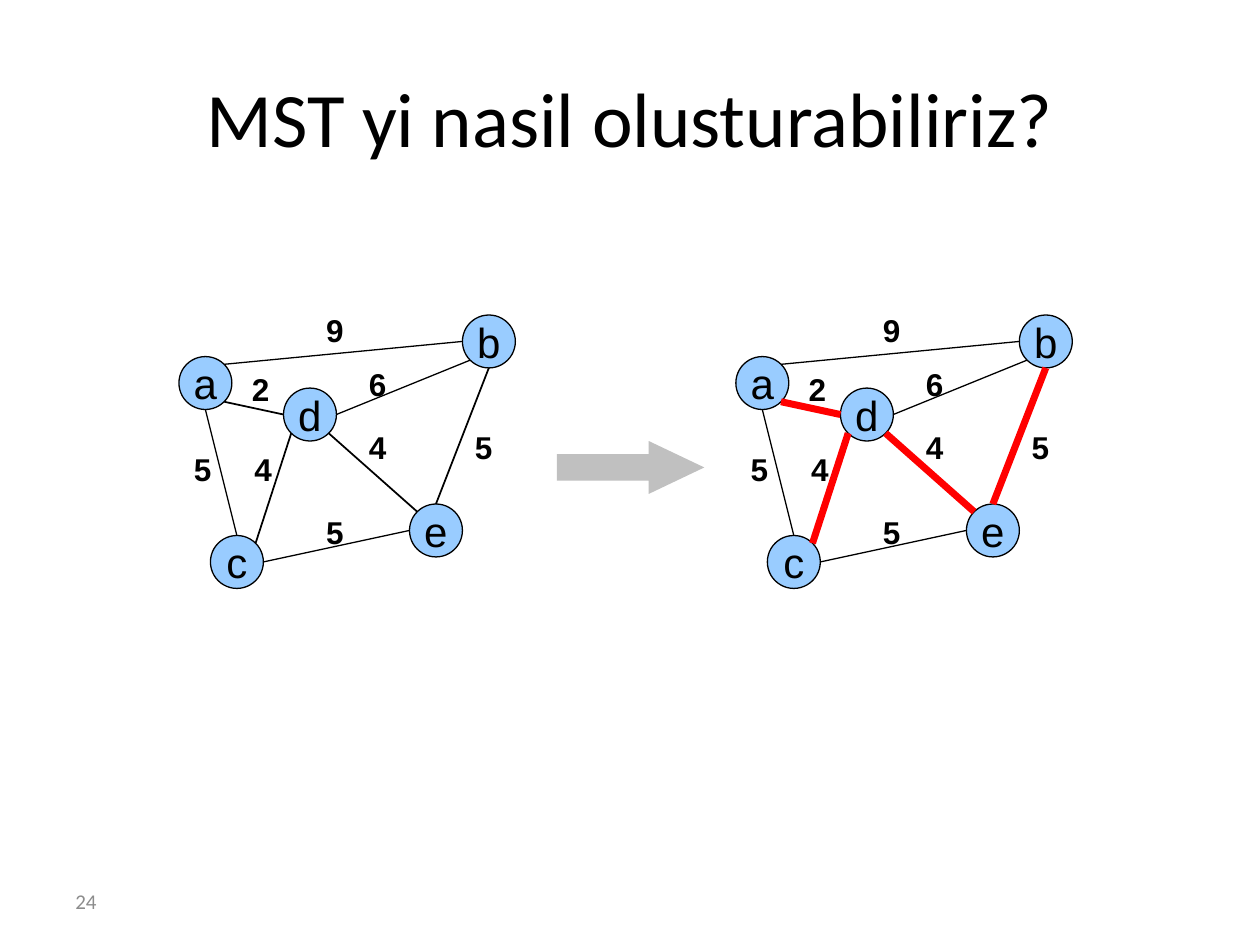
from math import hypot

from lxml.etree import SubElement
from pptx import Presentation
from pptx.dml.color import RGBColor
from pptx.enum.shapes import MSO_CONNECTOR, MSO_SHAPE
from pptx.enum.text import MSO_ANCHOR, MSO_AUTO_SIZE, PP_ALIGN
from pptx.oxml.ns import qn
from pptx.util import Inches, Pt

TITLE = "MST yi nasil olusturabiliriz?"
PAGE = "24"
NODES = {"a": (1.42, 2.83), "c": (1.67, 4.25), "e": (3.25, 4),
         "d": (2.25, 3.08), "b": (3.67, 2.5)}
DIRECTIONS = {"n": (0, -1), "ne": (1, -1), "e": (1, 0), "se": (1, 1),
              "s": (0, 1), "sw": (-1, 1), "w": (-1, 0), "nw": (-1, -1)}
EDGES = [
    ("a", "ne", "b", "w", False),
    ("d", "e", "b", "sw", False),
    ("a", "s", "c", "n", False),
    ("a", "se", "d", "w", True),
    ("c", "ne", "d", "sw", True),
    ("d", "se", "e", "nw", True),
    ("b", "s", "e", "n", True),
    ("e", "w", "c", "e", False),
]
WEIGHTS = [("2", 1.9, 2.89), ("4", 1.92, 3.52), ("5", 1.44, 3.52), ("9", 2.49, 2.42),
           ("6", 2.83, 2.85), ("4", 2.83, 3.35), ("5", 2.49, 4.02), ("5", 3.67, 3.35)]
GRAPHS = [(0, "000000", 1), (4.42, "FF0000", 4)]
DIAMETER = 0.42


def rgb(value):
    return RGBColor.from_string(value)


def set_text(sp, text, size, font="Arial", color="000000", bold=False,
             align=PP_ALIGN.LEFT, anchor=MSO_ANCHOR.MIDDLE, wrap=False):
    tf = sp.text_frame
    tf.text = text
    tf.word_wrap = wrap
    tf.vertical_anchor = anchor
    p = tf.paragraphs[0]
    p.alignment = align
    f = p.runs[0].font
    f.name, f.size, f.bold = font, Pt(size), bold
    f.color.rgb = rgb(color)


def add_text(shapes, box, text, size, **style):
    sp = shapes.add_textbox(*map(Inches, box))
    set_text(sp, text, size, **style)
    return sp


def add_filled(shapes, kind, box, fill):
    sp = shapes.add_shape(kind, *map(Inches, box))
    sp.shadow.inherit = False
    sp.fill.solid()
    sp.fill.fore_color.rgb = rgb(fill)
    return sp


def site(node, direction, shift):
    x, y = NODES[node]
    dx, dy = DIRECTIONS[direction]
    radius = DIAMETER / 2
    reach = radius / hypot(dx, dy)
    return Inches(x + shift + radius + dx * reach), Inches(y + radius + dy * reach)


def add_graph(slide, shift, tree_color, tree_width):
    shapes = slide.shapes.add_group_shape().shapes
    for name, (x, y) in NODES.items():
        sp = add_filled(shapes, MSO_SHAPE.OVAL, (x + shift, y, DIAMETER, DIAMETER), "99CCFF")
        sp.line.color.rgb = rgb("000000")
        sp.line.width = Pt(0.75)
        set_text(sp, name, 24, align=PP_ALIGN.CENTER)
    for start, start_site, end, end_site, in_tree in EDGES:
        line = shapes.add_connector(MSO_CONNECTOR.STRAIGHT, *site(start, start_site, shift),
                                    *site(end, end_site, shift))
        line.line.color.rgb = rgb(tree_color if in_tree else "000000")
        line.line.width = Pt(tree_width if in_tree else 0.75)
        SubElement(line._element.spPr, qn("a:effectLst"))
    for weight, x, y in WEIGHTS:
        sp = add_text(shapes, (x + shift, y, 0.34, 0.4), weight, 18,
                      bold=True, anchor=MSO_ANCHOR.TOP)
        sp.text_frame.auto_size = MSO_AUTO_SIZE.SHAPE_TO_FIT_TEXT


def main():
    prs = Presentation()
    prs.slide_width, prs.slide_height = Inches(10), Inches(7.5)
    s = prs.slides.add_slide(prs.slide_layouts[6])
    add_text(s.shapes, (0.5, 6.95, 2.33, 0.4), PAGE, 12,
             font="Calibri", color="8C8C8C", wrap=True)
    add_text(s.shapes, (0.5, 0.3, 9, 1.25), TITLE, 44,
             font="Calibri", align=PP_ALIGN.CENTER, wrap=True)
    for shift, color, width in GRAPHS:
        add_graph(s, shift, color, width)
    arrow = add_filled(s.shapes, MSO_SHAPE.RIGHT_ARROW, (4.42, 3.5, 1.17, 0.42), "C0C0C0")
    arrow.line.fill.background()
    arrow.adjustments[0] = 0.5
    arrow.adjustments[1] = 1.05
    prs.save("out.pptx")


if __name__ == "__main__":
    main()
